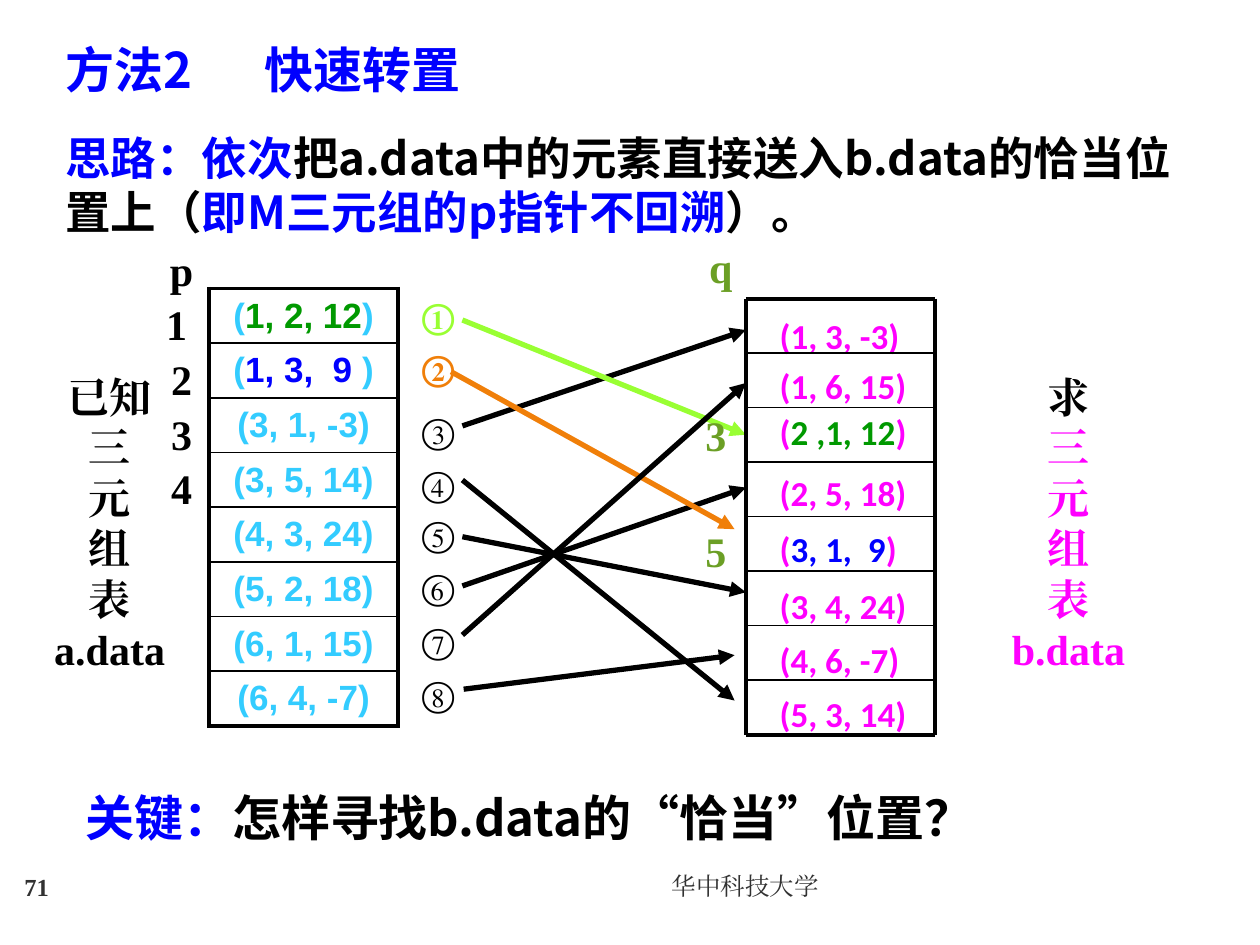
from dataclasses import dataclass

from lxml import etree
from pptx import Presentation
from pptx import util as u
from pptx.dml.color import RGBColor
from pptx.enum import shapes, text
from pptx.oxml.ns import qn


@dataclass(frozen=True)
class Theme:
    black: str = "000000"
    blue: str = "0000FF"
    green: str = "009900"
    magenta: str = "FF00FF"
    cyan: str = "33CCFF"
    lime: str = "99FF33"
    orange: str = "F07F09"
    olive: str = "6B9F25"
    gray: str = "323232"
    cjk: str = "Noto Sans CJK SC"
    serif: str = "Times New Roman"
    sans: str = "Arial"
    cell: str = "Calibri"
    heading: int = 28
    body: int = 26
    label: int = 24
    entry: int = 20
    small: int = 14


T = Theme()

# Entries of a.data, in row order
A_DATA = [
    [("(", T.cyan), ("1, 2, 12", T.green), (")", T.cyan)],
    [("(", T.cyan), ("1, 3,  9", T.blue), (" )", T.cyan)],
    *([(entry, T.cyan)] for entry in ("(3, 1, -3)", "(3, 5, 14)", "(4, 3, 24)",
                                      "(5, 2, 18)", "(6, 1, 15)", "(6, 4, -7)")),
]

# Moves: mark, mark top, colour, arrow start, arrow end, target top, target spans
MOVES = [
    ("③", 3.2, T.black, (3.67, 3.38), (5.92, 2.62), 2.45, [("(1, 3, -3)", T.magenta)]),
    ("①", 2.29, T.lime, (3.67, 2.54), (5.92, 3.45), 3.21,
     [("(", T.magenta), ("2 ,1, 12", T.green), (")", T.magenta)]),
    ("⑥", 4.44, T.black, (3.67, 4.65), (5.92, 3.87), 3.69, [("(2, 5, 18)", T.magenta)]),
    ("②", 2.7, T.orange, (3.58, 2.95), (5.83, 4.2), 4.14,
     [("(", T.magenta), ("3, 1,  9", T.blue), (")", T.magenta)]),
    ("⑧", 5.29, T.black, (3.68, 5.47), (5.83, 5.2), 5.02, [("(4, 6, -7)", T.magenta)]),
    ("④", 3.62, T.black, (3.67, 3.81), (5.83, 5.56), 5.45, [("(5, 3, 14)", T.magenta)]),
    ("⑦", 4.87, T.black, (3.67, 5.04), (5.92, 3.04), 2.84, [("(1, 6, 15)", T.magenta)]),
    ("⑤", 4.02, T.black, (3.67, 4.26), (5.92, 4.7), 4.59, [("(3, 4, 24)", T.magenta)]),
]


def write(para, spans, size, font, bold=True, align=None, pitch=None):
    """Fill a paragraph with (text, colour[, font]) spans."""
    para.alignment = align
    if pitch:
        para.line_spacing = u.Pt(pitch)
    para.font.size = u.Pt(size)
    para.font.bold = bold
    para.font.name = font
    defaults = para._p.pPr.find(qn("a:defRPr"))
    etree.SubElement(defaults, qn("a:ea"), typeface=font)
    for words, colour, *other_font in spans:
        span = para.add_run()
        span.text = words
        span.font.color.rgb = RGBColor.from_string(colour)
        if other_font:
            span.font.name = other_font[0]


def add_text(page, at, lines, size, font, wrap=True, anchor=text.MSO_ANCHOR.TOP,
             inset=0.05, **style):
    """Add a text box holding one paragraph for each list of spans."""
    frame = page.shapes.add_textbox(*map(u.Inches, at)).text_frame
    frame.word_wrap = wrap
    frame.vertical_anchor = anchor
    frame.margin_top = u.Inches(inset)
    for index, spans in enumerate(lines):
        para = frame.add_paragraph() if index else frame.paragraphs[0]
        write(para, spans, size, font, **style)


def add_line(page, start, end, colour, width, arrow=False):
    line = page.shapes.add_connector(shapes.MSO_CONNECTOR.STRAIGHT,
                                     *map(u.Inches, (*start, *end)))
    line.line.color.rgb = RGBColor.from_string(colour)
    line.line.width = u.Pt(width)
    if arrow:
        etree.SubElement(line.get_or_add_ln(), qn("a:tailEnd"), type="triangle")
    etree.SubElement(line._element.spPr, qn("a:effectLst"))


def add_title(page):
    title = page.shapes.title
    title.left, title.top, title.width, title.height = map(
        u.Inches, (0.42, 0.26, 4.97, 0.63))
    frame = title.text_frame
    frame.auto_size = text.MSO_AUTO_SIZE.NONE
    frame.vertical_anchor = text.MSO_ANCHOR.TOP
    para = frame.paragraphs[0]
    tabs = etree.SubElement(para._p.get_or_add_pPr(), qn("a:tabLst"))
    etree.SubElement(tabs, qn("a:tab"), pos=str(u.Inches(1.58)), algn="l")
    write(para, [("方法2\t快速转置", T.blue)], T.heading, T.cjk,
          align=text.PP_ALIGN.LEFT)


def add_source_table(page):
    count = len(A_DATA)
    table = page.shapes.add_table(count, 1, *map(u.Inches, (1.66, 2.29, 1.5, 3.47))).table
    table.first_row = table.horz_banding = False
    for index, spans in enumerate(A_DATA):
        cell = table.cell(index, 0)
        cell.vertical_anchor = text.MSO_ANCHOR.MIDDLE
        write(cell.text_frame.paragraphs[0], spans, T.entry, T.sans,
              align=text.PP_ALIGN.CENTER)
        widths = {"lnL": 2.25, "lnR": 2.25,
                  "lnT": 1 if index else 2.25,
                  "lnB": 1 if index < count - 1 else 2.25}
        for side, width in widths.items():
            border = etree.SubElement(cell._tc.get_or_add_tcPr(), qn(f"a:{side}"),
                                      w=str(u.Pt(width)))
            fill = etree.SubElement(border, qn("a:solidFill"))
            etree.SubElement(fill, qn("a:srgbClr"), val=T.black)
        cell.fill.background()


def add_target_grid(page):
    left, right, top, bottom, rows = 5.92, 7.42, 2.37, 5.83, 8
    for index in range(rows + 1):
        y = top + index * (bottom - top) / rows
        add_line(page, (left, y), (right, y), T.black, 2.25 if index in (0, rows) else 1)
    for x in (left, right):
        add_line(page, (x, top), (x, bottom), T.black, 2.25)


def add_moves(page):
    for mark, mark_top, colour, start, end, target_top, spans in MOVES:
        add_line(page, start, end, colour, 3, arrow=True)
        add_text(page, (3.25, mark_top, 0.48, 0.43), [[(mark, colour)]], T.entry,
                 T.serif, bold=colour != T.black)
        add_text(page, (6.09, target_top, 1.4, 0.43), [spans], T.entry, T.cell)


def add_side_label(page, left, width, lines):
    add_text(page, (left, 2.9, width, 2.5), [[line] for line in lines], T.label, T.serif,
             wrap=False, align=text.PP_ALIGN.CENTER, pitch=1.2 * T.label)


def add_pointers(page):
    labels = [("p", 1.25, 1.89, T.black), ("1", 1.22, 2.32, T.black),
              ("2", 1.26, 2.76, T.black), ("3", 1.26, 3.19, T.black),
              ("4", 1.26, 3.62, T.black), ("q", 5.53, 1.87, T.olive),
              ("3", 5.5, 3.2, T.olive), ("5", 5.5, 4.12, T.olive)]
    for label, left, top, colour in labels:
        add_text(page, (left, top, 0.38, 0.5), [[(label, colour)]], T.label, T.serif)


def add_statement(page, at, spans, size):
    add_text(page, at, [spans], size, T.cjk, inset=0.08, pitch=1.2 * size)


def main():
    deck = Presentation()
    deck.slide_width, deck.slide_height = u.Inches(10), u.Inches(7.5)
    page = deck.slides.add_slide(deck.slide_layouts.get_by_name("Title Only"))
    add_title(page)
    middle = text.MSO_ANCHOR.MIDDLE
    add_text(page, (0.67, 6.83, 5.93, 0.4), [[("华中科技大学", T.gray)]], T.small, T.serif,
             anchor=middle, bold=False, align=text.PP_ALIGN.RIGHT)
    add_text(page, (0, 6.83, 0.58, 0.42), [[("71", T.gray)]], T.small, T.serif,
             anchor=middle, align=text.PP_ALIGN.CENTER)
    add_side_label(page, 0.33, 1.08, [(line, T.black) for line in
                                      ("已知", "三", "元", "组", "表", "a.data")])
    add_side_label(page, 7.93, 1.1, [("求", T.black)] + [
        (line, T.magenta) for line in ("三", "元", "组", "表", "b.data")])
    add_moves(page)
    add_target_grid(page)
    add_source_table(page)
    add_statement(page, (0.42, 0.95, 9.17, 0.97), [
        ("思路：依次", T.blue), ("把a.data中的元素直接送入b.data的恰当位置上（", T.black),
        ("即M三元组的p指针不回溯", T.blue), ("）。", T.black)], T.body)
    add_pointers(page)
    add_statement(page, (0.58, 6.17, 7.17, 0.57), [
        ("关键：", T.blue), ("怎样寻找b.data的", T.black), ("“", T.black, T.serif),
        ("恰当", T.black), ("”", T.black, T.serif), ("位置？", T.black)], T.heading)
    deck.save("out.pptx")


if __name__ == "__main__":
    main()
